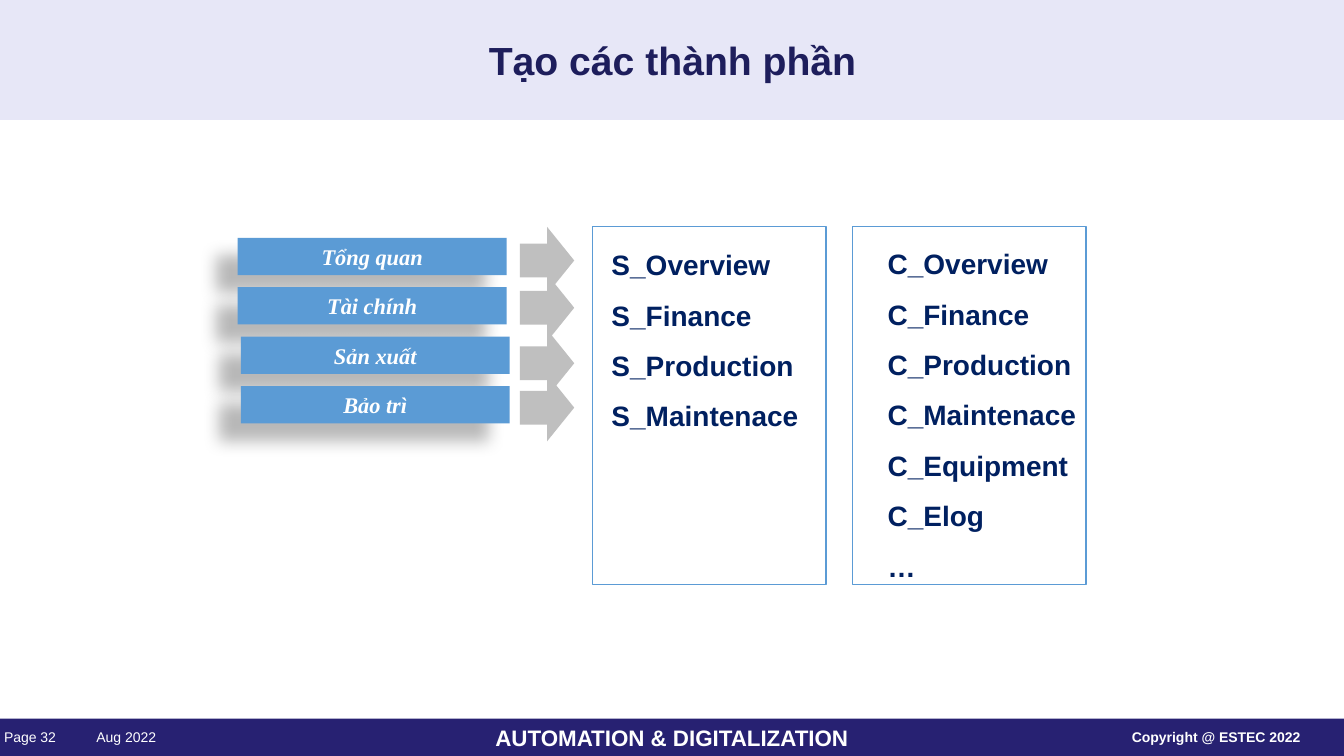
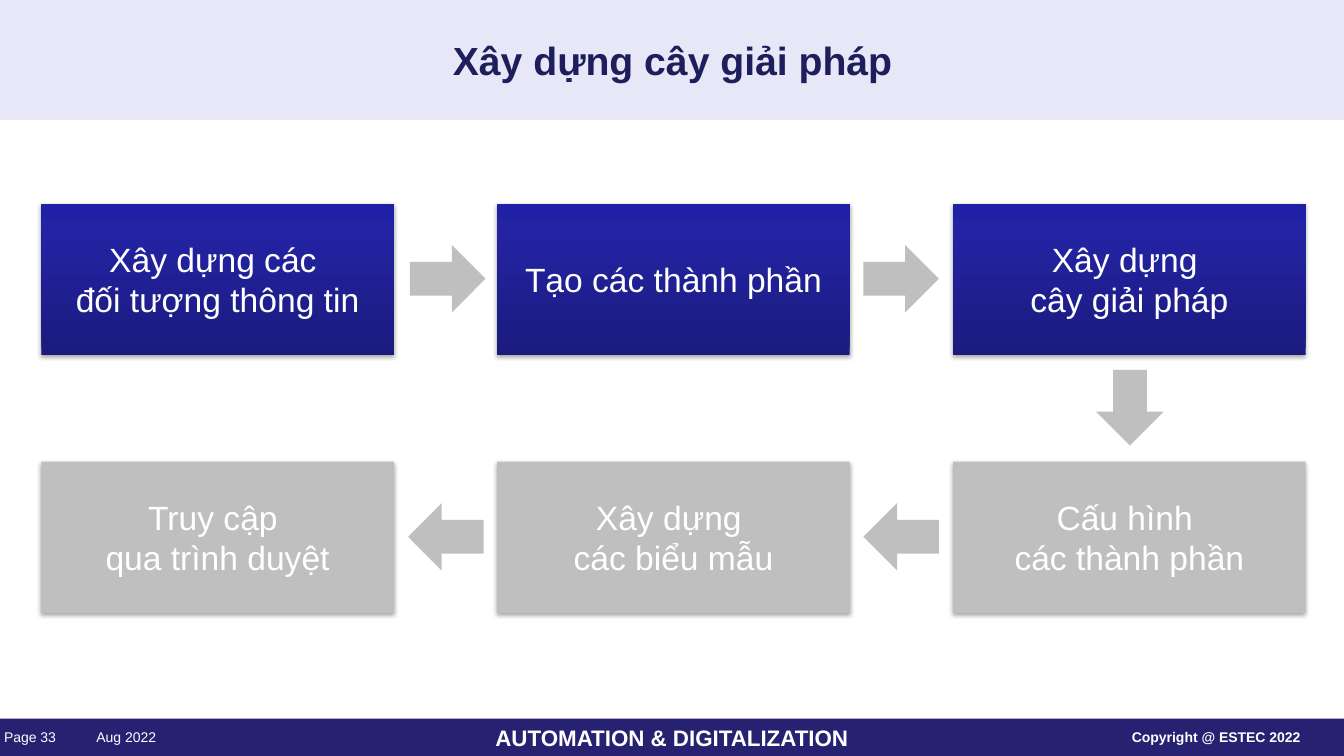
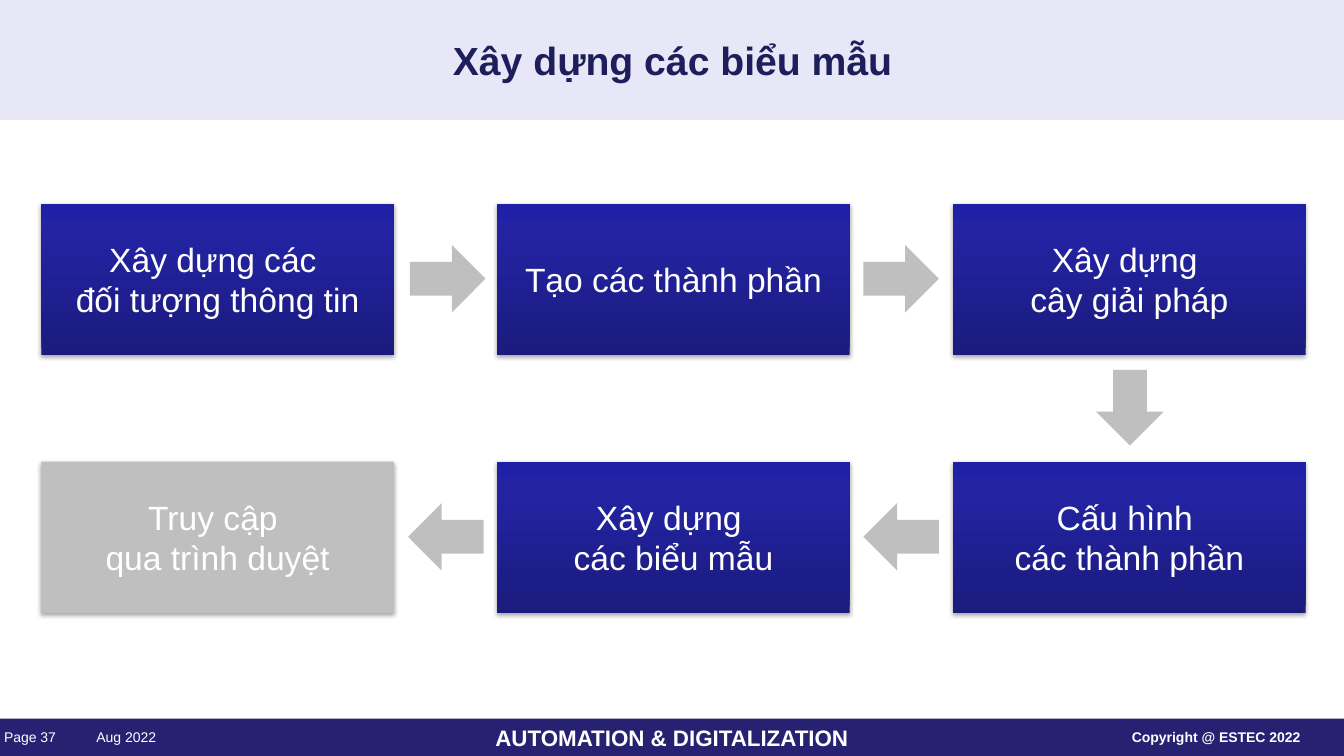
from copy import deepcopy

from lxml.etree import SubElement
from pptx import Presentation
from pptx.dml.color import RGBColor
from pptx.enum.shapes import MSO_SHAPE
from pptx.enum.text import MSO_ANCHOR, MSO_AUTO_SIZE, PP_ALIGN
from pptx.oxml.ns import qn
from pptx.util import Pt

COLORS = {
    "band": "E7E7F7", "footer": "272172", "title": "1E1E5C", "white": "FFFFFF",
    "label": "5B9BD5", "list": "002060", "gray": "BFBFBF",
}
STEP_GRADIENT = [(0, "1B1B7E"), (0.8, "2323A3"), (1, "2020A6")]

# Text formats: font name, size, colour, bold, italic
TITLE = dict(name="Arial", size=28, color="title", bold=True)
FOOTER = dict(name="Arial", size=16, color="white", bold=True)
SMALL = dict(name="Arial", size=10, color="white")
SMALL_BOLD = dict(SMALL, bold=True)
LABEL = dict(name="Times New Roman", size=16, color="white", bold=True, italic=True)
LIST = dict(name="Arial", size=20, color="list", bold=True)
STEP = dict(name="Arial", size=24, color="white")

# Shadows: opacity in percent, blur, distance, direction in degrees
LABEL_SHADOW = (28, 11.8, 19.7, 141)
STEP_SHADOW = (35, 3.1, 1.8, 90)

SLIDE_W, SLIDE_H = 960.48, 540
TITLE_BOX = (184.3, 0, 592.6, 85.7)
FOOTER_TOP, FOOTER_H = 513.4, 26.6
SMALL_TOP, SMALL_H = 520.6, 12.2

COMPONENTS = dict(
    page=32, title="Tạo các thành phần",
    labels=[("Tổng quan", 169.9), ("Tài chính", 169.9),
            ("Sản xuất", 172.1), ("Bảo trì", 172.1)],
    arrow_tops=[162, 195.8, 235.4, 267.1],
    lists=[
        ((393.8, 161.3, 226.8, 148.3),
         ["S_Overview", "S_Finance", "S_Production", "S_Maintenace"]),
        ((591.1, 160.6, 226.8, 257),
         ["C_Overview", "C_Finance", "C_Production", "C_Maintenace",
          "C_Equipment", "C_Elog", "…"]),
    ],
    frame_lefts=[423.4, 609.1],
)

# Steps: column, row, lines
STEPS = [
    (0, 0, ["Xây dựng các ", "đối tượng thông tin"]),
    (1, 0, ["Tạo các thành phần"]),
    (2, 0, ["Xây dựng ", "cây giải pháp"]),
    (2, 1, ["Cấu hình ", "các thành phần"]),
    (1, 1, ["Xây dựng ", "các biểu mẫu"]),
    (0, 1, ["Truy cập ", "qua trình duyệt"]),
]
# Arrows between steps: left, top, rotation
STEP_ARROWS = [(293, 175, 0), (617, 175, 0), (780.5, 267.1, 90),
               (617, 359.3, 180), (291.6, 359.3, 180)]
FLOWS = [
    dict(page=33, title="Xây dựng cây giải pháp", done=3),
    dict(page=37, title="Xây dựng các biểu mẫu", done=5),
]


def rgb(key):
    return RGBColor.from_string(COLORS[key])


def place(sp, box):
    for attr, value in zip(("left", "top", "width", "height"), box):
        setattr(sp, attr, Pt(value))


def write(sp, lines, fmt, align=PP_ALIGN.CENTER, margin=None, **frame):
    """Fill a shape with one paragraph per line and return the paragraphs."""
    tf = sp.text_frame
    settings = dict(vertical_anchor=MSO_ANCHOR.MIDDLE, word_wrap=True,
                    auto_size=MSO_AUTO_SIZE.NONE)
    if margin is not None:
        for side in ("left", "top", "right", "bottom"):
            settings["margin_" + side] = Pt(margin)
    for attr, value in (settings | frame).items():
        setattr(tf, attr, value)
    for i, line in enumerate(lines):
        p = tf.add_paragraph() if i else tf.paragraphs[0]
        p.alignment = align
        r = p.add_run()
        r.text = line
        for attr, value in fmt.items():
            if attr == "color":
                r.font.color.rgb = rgb(value)
            else:
                setattr(r.font, attr, Pt(value) if attr == "size" else value)
    return tf.paragraphs


def add_shape(s, box, fill=None, line=None, kind=MSO_SHAPE.RECTANGLE):
    sp = s.shapes.add_shape(kind, *map(Pt, box))
    sp.shadow.inherit = False
    if fill:
        sp.fill.solid()
        sp.fill.fore_color.rgb = rgb(fill)
    else:
        sp.fill.background()
    if line:
        sp.line.color.rgb = rgb(line)
        sp.line.width = Pt(1)
    else:
        sp.line.fill.background()
    return sp


def add_arrow(s, box, rotation=0):
    sp = add_shape(s, box, "gray", kind=MSO_SHAPE.RIGHT_ARROW)
    sp.rotation = rotation


def add_small_text(s, left, width, text, fmt, align):
    sp = s.shapes.add_textbox(*map(Pt, (left, SMALL_TOP, width, SMALL_H)))
    write(sp, [text], fmt, align, margin=0, word_wrap=False)
    return sp


def add_shadow(sp, opacity, blur, distance, direction):
    effects = sp.element.spPr.find(qn("a:effectLst"))
    shadow = SubElement(effects, qn("a:outerShdw"), blurRad=str(Pt(blur)),
                        dist=str(Pt(distance)), dir=str(direction * 60000),
                        algn="ctr", rotWithShape="0")
    color = SubElement(shadow, qn("a:srgbClr"), val="000000")
    SubElement(color, qn("a:alpha"), val=str(opacity * 1000))


def add_gradient(sp):
    sp.fill.gradient()
    sp.fill.gradient_angle = 90
    stops = sp.element.spPr.find(".//" + qn("a:gsLst"))
    stops.append(deepcopy(stops[-1]))
    for stop, (position, color) in zip(sp.fill.gradient_stops, STEP_GRADIENT):
        stop.position = position
        stop.color.rgb = RGBColor.from_string(color)


def build_master(prs, s):
    """Draw the shared bands on a slide, then move them to its master."""
    master = prs.slide_master
    place(master.placeholders[0], TITLE_BOX)
    top_band = add_shape(s, (0, 0, SLIDE_W, TITLE_BOX[3]), "band")
    footer = add_shape(s, (0, FOOTER_TOP, SLIDE_W, FOOTER_H), "footer")
    write(footer, ["AUTOMATION & DIGITALIZATION"], FOOTER, margin=0)
    date = add_small_text(s, 58.3, 53.3, "Aug 2022", SMALL, PP_ALIGN.RIGHT)
    rights = add_small_text(s, 808.9, 130.7, "Copyright @ ESTEC 2022",
                            SMALL_BOLD, PP_ALIGN.LEFT)
    for i, sp in enumerate((top_band, footer, date, rights)):
        sp.element.nvSpPr.cNvPr.id = 100 + i
        master.shapes.element.append(sp.element)


def start_slide(prs, layout, page, title):
    s = prs.slides.add_slide(prs.slide_layouts.get_by_name(layout))
    write(s.shapes.title, [title], TITLE)
    add_small_text(s, 2.9, 53.3, f"Page {page}", SMALL, PP_ALIGN.LEFT)
    return s


def add_list(body, box, items):
    place(body, box)
    for p in write(body, items, LIST, PP_ALIGN.LEFT,
                   vertical_anchor=MSO_ANCHOR.TOP):
        pPr = p._p.get_or_add_pPr()
        pPr.set("marL", str(Pt(36)))
        pPr.set("indent", "0")
        SubElement(pPr, qn("a:buNone"))
        p.line_spacing = 1.5
        p.space_before = Pt(0)


def build_components(prs, page, title, labels, arrow_tops, lists, frame_lefts):
    s = start_slide(prs, "Two Content", page, title)
    for top in arrow_tops:
        add_arrow(s, (371.5, top, 38.9, 48.2))
    for i, (text, left) in enumerate(labels):
        sp = add_shape(s, (left, 169.9 + 35.3 * i, 192.2, 26.6), "label")
        add_shadow(sp, *LABEL_SHADOW)
        write(sp, [text], LABEL)
    bodies = [ph for ph in s.placeholders if ph.placeholder_format.idx]
    for body, (box, items) in zip(bodies, lists):
        add_list(body, box, items)
    for left in frame_lefts:
        add_shape(s, (left, 162, 167, 255.6), line="label")
    return s


def build_flow(prs, page, title, done):
    """Show all steps, with the first ones (done) in blue."""
    s = start_slide(prs, "Title Only", page, title)
    for i, (col, row, lines) in enumerate(STEPS):
        box = (29.5 + 325.8 * col, 145.4 + 184.4 * row, 252, 108)
        sp = add_shape(s, box, "gray")
        if i < done:
            add_gradient(sp)
        add_shadow(sp, *STEP_SHADOW)
        write(sp, lines, STEP, word_wrap=False)
    for left, top, rotation in STEP_ARROWS:
        add_arrow(s, (left, top, 54, 48.2), rotation)


def main():
    prs = Presentation()
    prs.slide_width, prs.slide_height = Pt(SLIDE_W), Pt(SLIDE_H)
    first = build_components(prs, **COMPONENTS)
    build_master(prs, first)
    for flow in FLOWS:
        build_flow(prs, **flow)
    prs.save("out.pptx")


if __name__ == "__main__":
    main()
